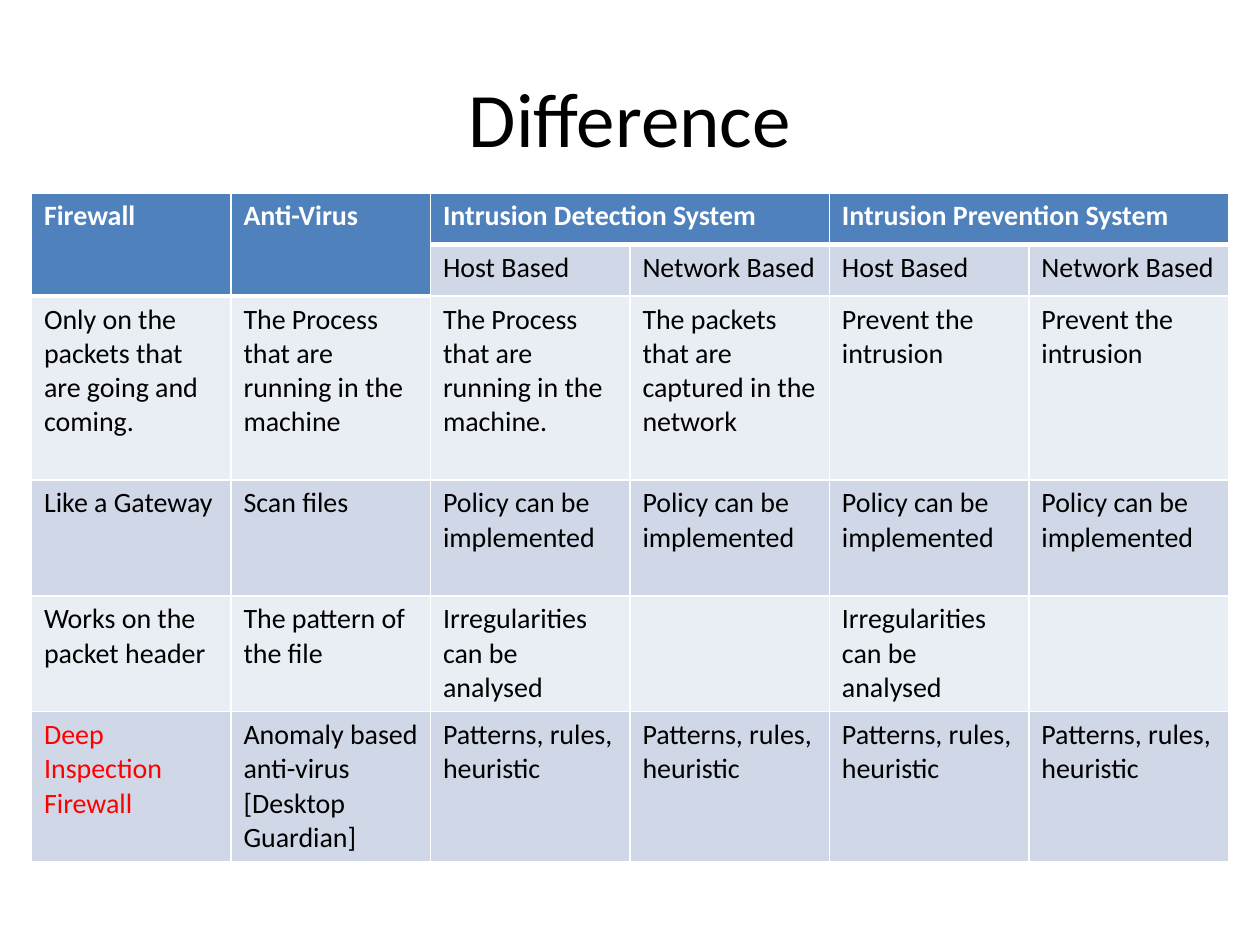
from dataclasses import dataclass

from lxml.etree import SubElement
from pptx import Presentation
from pptx.dml.color import RGBColor as Color
from pptx.enum.text import MSO_ANCHOR as Anchor, PP_ALIGN as Align
from pptx.oxml.ns import qn
from pptx.util import Inches, Pt


@dataclass(frozen=True)
class Theme:
    font: str = "Calibri"
    title_size: int = 44
    body_size: int = 16
    black: str = "000000"
    white: str = "FFFFFF"
    alert: str = "FF0000"
    header: str = "4F81BD"
    bands: tuple = ("E9EDF4", "D0D8E8")
    thin: int = 1
    thick: int = 3


THEME = Theme()
COLUMN_WIDTH = 9.5 / 6
ROW_HEIGHTS = (0.41, 0.41, 1.46, 0.92, 0.92, 1.18)
MERGES = (((0, 0), (1, 0)), ((0, 1), (1, 1)), ((0, 2), (0, 3)), ((0, 4), (0, 5)))
ALERT_CELL = (5, 0)
POLICY = "Policy can be implemented"
IRREGULAR = "Irregularities can be analysed"
PATTERNS = "Patterns, rules, heuristic"
PREVENT = "Prevent the intrusion"
ROWS = (
    ("Firewall", "Anti-Virus", "Intrusion Detection System", "",
     "Intrusion Prevention System", ""),
    ("", "") + ("Host Based", "Network Based") * 2,
    ("Only on the packets that are going and coming.",
     "The Process that are running in the machine",
     "The Process that are running in the machine.",
     "The packets that are captured in the network", PREVENT, PREVENT),
    ("Like a Gateway", "Scan files") + (POLICY,) * 4,
    ("Works on the packet header", "The pattern of the file") + (IRREGULAR, "") * 2,
    ("Deep Inspection Firewall", "Anomaly based anti-virus [Desktop Guardian]")
    + (PATTERNS,) * 4,
)


def style_text(frame, size, color, bold=False):
    for para in frame.paragraphs:
        for span in para.runs:
            span.font.name = THEME.font
            span.font.size = Pt(size)
            span.font.bold = bold
            span.font.color.rgb = Color.from_string(color)


def add_title(page, text):
    title = page.shapes.title
    title.left, title.top = Inches(0.5), Inches(0.3)
    title.width, title.height = Inches(9), Inches(1.25)
    frame = title.text_frame
    frame.text = text
    frame.vertical_anchor = Anchor.MIDDLE
    frame.paragraphs[0].alignment = Align.CENTER
    style_text(frame, THEME.title_size, THEME.black)


def is_header(row, column):
    return row == 0 or (row == 1 and column < 2)


def set_borders(cell, top, bottom):
    properties = cell._tc.get_or_add_tcPr()
    widths = {"lnL": THEME.thin, "lnR": THEME.thin, "lnT": top, "lnB": bottom}
    for side, width in widths.items():
        line = SubElement(properties, qn(f"a:{side}"), w=str(Pt(width)))
        fill = SubElement(line, qn("a:solidFill"))
        SubElement(fill, qn("a:srgbClr"), val=THEME.white)


def style_cell(cell, row, column):
    header = is_header(row, column)
    below_header = row > 0 and not header and is_header(row - 1, column)
    set_borders(cell, THEME.thick if below_header else THEME.thin,
                THEME.thick if header else THEME.thin)
    cell.fill.solid()
    cell.fill.fore_color.rgb = Color.from_string(
        THEME.header if header else THEME.bands[row % 2])
    color = THEME.white if header else THEME.black
    if (row, column) == ALERT_CELL:
        color = THEME.alert
    style_text(cell.text_frame, THEME.body_size, color, header)


def add_comparison_table(page):
    table = page.shapes.add_table(
        len(ROWS), len(ROWS[0]), Inches(0.25), Inches(1.53),
        Inches(9.5), Inches(sum(ROW_HEIGHTS))).table
    for column in table.columns:
        column.width = Inches(COLUMN_WIDTH)
    for row, height in zip(table.rows, ROW_HEIGHTS):
        row.height = Inches(height)
    for start, end in MERGES:
        table.cell(*start).merge(table.cell(*end))
    for row, texts in enumerate(ROWS):
        for column, text in enumerate(texts):
            cell = table.cell(row, column)
            if text:
                cell.text_frame.text = text
            style_cell(cell, row, column)


def main():
    deck = Presentation()
    deck.slide_width, deck.slide_height = Inches(10), Inches(7.5)
    page = deck.slides.add_slide(deck.slide_layouts[5])
    add_title(page, "Difference")
    add_comparison_table(page)
    deck.save("out.pptx")


if __name__ == "__main__":
    main()
